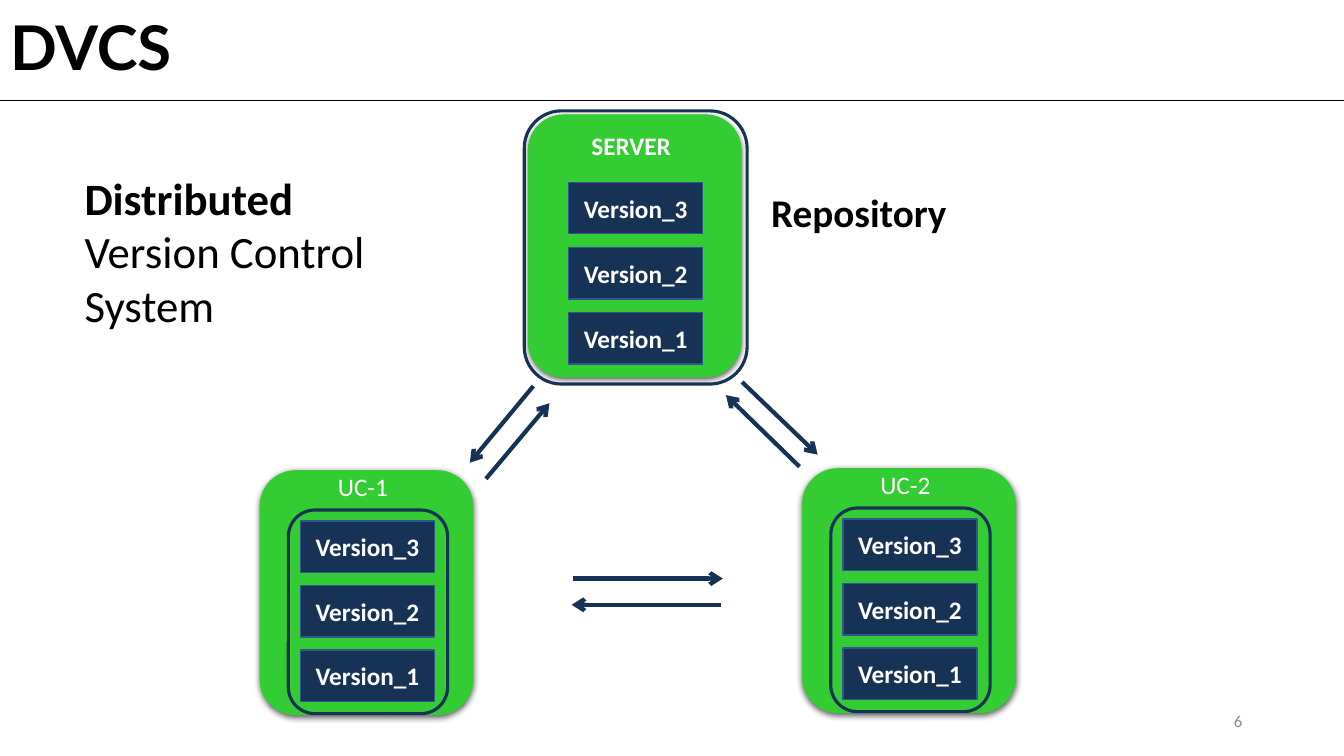
from dataclasses import dataclass

from lxml import etree
from pptx import Presentation
from pptx.dml.color import RGBColor
from pptx.enum.shapes import MSO_CONNECTOR, MSO_SHAPE
from pptx.enum.text import MSO_ANCHOR, PP_ALIGN
from pptx.oxml.ns import qn
from pptx.util import Inches, Pt

RECT, ROUNDED = MSO_SHAPE.RECTANGLE, MSO_SHAPE.ROUNDED_RECTANGLE
STRAIGHT = MSO_CONNECTOR.STRAIGHT
LEFT, CENTER, RIGHT = PP_ALIGN.LEFT, PP_ALIGN.CENTER, PP_ALIGN.RIGHT
TOP, MIDDLE = MSO_ANCHOR.TOP, MSO_ANCHOR.MIDDLE

BLACK, WHITE, GREY = "000000", "FFFFFF", "8C8C8C"
GREEN, NAVY, BLUE = "33CC33", "163356", "325491"
BODY_FONT, TITLE_FONT = "Calibri", "Lato"

# The grid has ten columns and ten rows to the inch
COLUMNS, ROWS = 133.3, 75
VERSIONS = ("Version_3", "Version_2", "Version_1")


@dataclass(frozen=True)
class Box:
    left: float
    top: float
    width: float
    height: float

    def inside(self, parent: "Box") -> "Box":
        return Box(parent.left + self.left, parent.top + self.top, self.width, self.height)

    def emu(self) -> list:
        return [cells(n) for n in (self.left, self.top, self.width, self.height)]


@dataclass(frozen=True)
class Station:
    """A machine holding versions; all inner boxes are relative to its card."""
    name: str
    card: Box
    label: Box
    frame: Box
    first_version: Box
    pitch: float
    bold: bool = False


@dataclass(frozen=True)
class Arrow:
    start: tuple[float, float]
    tip: tuple[float, float]


def user_station(name: str, left: float, top: float) -> Station:
    return Station(name, Box(left, top, 21.1, 24.2), Box(4.7, -0.4, 11, 4),
                   Box(2.8, 3.9, 15.8, 20.2), Box(4, 5, 13.3, 5.1), 6.4)


STATIONS = (
    Station("SERVER", Box(52.4, 11.4, 21.1, 26), Box(4.7, 1, 11, 4),
            Box(-0.4, -0.4, 22.1, 27.1), Box(4, 6.7, 13.3, 5.1), 6.45, True),
    user_station("UC-1", 25.8, 46.7),
    user_station("UC-2", 79.6, 46.5),
)

ARROWS = (
    Arrow((52.9, 38.3), (46.6, 45.9)),
    Arrow((48.2, 47.5), (54.5, 40)),
    Arrow((73.6, 37.9), (81.1, 45.1)),
    Arrow((79.3, 46.3), (72, 39.2)),
    Arrow((56.8, 57.4), (71.7, 57.4)),
    Arrow((71.5, 60), (56.7, 60)),
)


def cells(count: float) -> int:
    return Inches(count / 10)


def color(value: str) -> RGBColor:
    return RGBColor.from_string(value)


def style_font(font, size: float, ink: str, bold: bool | None = False, name: str = BODY_FONT) -> None:
    font.name, font.size, font.bold = name, Pt(size), bold
    font.color.rgb = color(ink)


def add_text(slide, box: Box, text: str, size: float, ink: str, bold: bool = False,
             align=LEFT, anchor=TOP):
    frame = slide.shapes.add_textbox(*box.emu()).text_frame
    frame.word_wrap, frame.vertical_anchor = True, anchor
    paragraph = frame.paragraphs[0]
    paragraph.text, paragraph.alignment = text, align
    style_font(paragraph.font, size, ink, bold)
    return paragraph


def add_block(slide, preset, box: Box, fill: str | None, line: str, weight: float):
    block = slide.shapes.add_shape(preset, *box.emu())
    block.shadow.inherit = False
    if fill:
        block.fill.solid()
        block.fill.fore_color.rgb = color(fill)
    else:
        block.fill.background()
    block.line.color.rgb = color(line)
    block.line.width = Pt(weight)
    return block


def drop_shadow(block) -> None:
    effects = block._element.spPr.find(qn("a:effectLst"))
    shadow = etree.SubElement(effects, qn("a:outerShdw"), blurRad=str(Pt(4.5)),
                              dist=str(Pt(1.5)), dir="5400000", rotWithShape="0")
    shade = etree.SubElement(shadow, qn("a:srgbClr"), val=BLACK)
    etree.SubElement(shade, qn("a:alpha"), val="63000")


def add_line(slide, start: tuple, end: tuple, ink: str, weight: float, arrow: bool = False) -> None:
    connector = slide.shapes.add_connector(STRAIGHT, *map(cells, (*start, *end)))
    connector.line.color.rgb = color(ink)
    connector.line.width = Pt(weight)
    properties = connector._element.spPr
    if arrow:
        etree.SubElement(properties.find(qn("a:ln")), qn("a:tailEnd"), type="arrow")
    etree.SubElement(properties, qn("a:effectLst"))


def add_station(slide, station: Station) -> None:
    drop_shadow(add_block(slide, ROUNDED, station.card, GREEN, GREEN, 0.75))
    first = station.first_version.inside(station.card)
    for index, version in enumerate(VERSIONS):
        box = Box(first.left, first.top + index * station.pitch, first.width, first.height)
        frame = add_block(slide, RECT, box, NAVY, BLUE, 1).text_frame
        frame.word_wrap, frame.vertical_anchor = False, MIDDLE
        paragraph = frame.paragraphs[0]
        paragraph.text, paragraph.alignment = version, CENTER
        style_font(paragraph.font, 18, WHITE, True)
    add_text(slide, station.label.inside(station.card), station.name, 18, WHITE, station.bold, CENTER)
    add_block(slide, ROUNDED, station.frame.inside(station.card), None, NAVY, 2.25)


def main() -> None:
    deck = Presentation()
    deck.slide_width, deck.slide_height = cells(COLUMNS), cells(ROWS)
    slide = deck.slides.add_slide(deck.slide_layouts[5])

    # Title and rule
    title = slide.shapes.title
    title.left, title.top, title.width, title.height = Box(0, 0.1, 133.2, 9.9).emu()
    title.text_frame.vertical_anchor = MIDDLE
    heading = title.text_frame.paragraphs[0]
    heading.text, heading.alignment, heading.line_spacing = "DVCS", LEFT, 0.9
    style_font(heading.font, 44, BLACK, True, TITLE_FONT)
    add_line(slide, (0, 10), (COLUMNS, 10), BLACK, 0.5)

    # Server and user computers, with the exchanges between them
    for station in STATIONS:
        add_station(slide, station)
    for arrow in ARROWS:
        add_line(slide, arrow.start, arrow.tip, NAVY, 3, arrow=True)

    # Captions and page number
    caption = add_text(slide, Box(7.4, 16.4, 34.4, 17.2), "Distributed ", 32, BLACK)
    caption.runs[0].font.bold = True
    caption.add_run().text = "Version Control System"
    add_text(slide, Box(75.5, 18.2, 19.8, 5.7), "Repository", 28, BLACK, True)
    add_text(slide, Box(94.2, 69.5, 30, 4), "6", 12, GREY, align=RIGHT, anchor=MIDDLE)

    deck.save("out.pptx")


if __name__ == "__main__":
    main()
